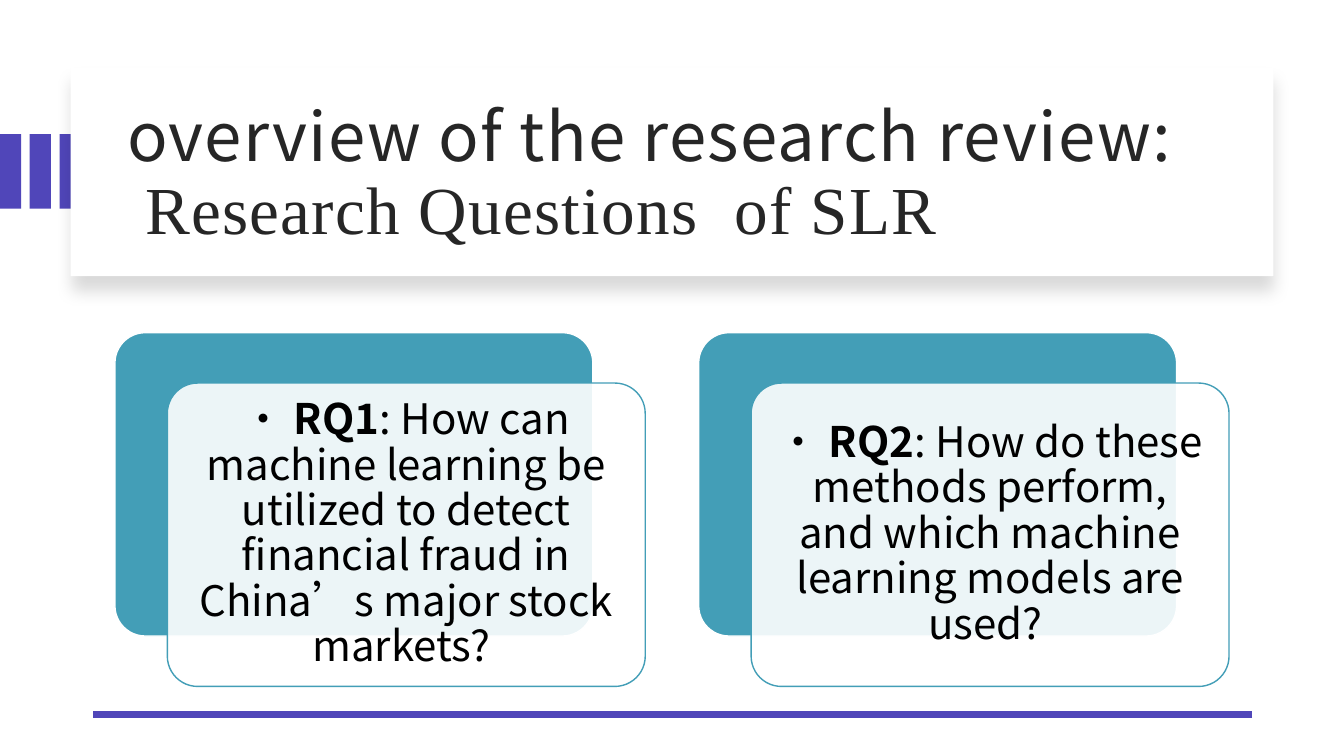
from lxml.etree import SubElement
from pptx import Presentation
from pptx.dml.color import RGBColor
from pptx.enum.shapes import MSO_CONNECTOR, MSO_SHAPE
from pptx.enum.text import MSO_ANCHOR, PP_ALIGN
from pptx.oxml.ns import qn
from pptx.util import Inches, Pt

THEME = {
    "white": RGBColor(0xFF, 0xFF, 0xFF),
    "black": RGBColor(0, 0, 0),
    "ink": RGBColor(0x26, 0x26, 0x26),
    "violet": RGBColor(0x50, 0x46, 0xB9),
    "teal": RGBColor(0x43, 0x9E, 0xB7),
    "sans": "Noto Sans CJK SC",
    "serif": "Times New Roman",
    "title_size": Pt(48),
    "card_size": Pt(30),
}
FRAME = {
    "word_wrap": True,
    "vertical_anchor": MSO_ANCHOR.MIDDLE,
    "margin_left": Inches(0.12),
    "margin_right": Inches(0.12),
    "margin_top": Inches(0.12),
    "margin_bottom": Inches(0.12),
}


def apply_format(target, values):
    for name, value in values.items():
        setattr(target, name, value)


def add_block(kind, left, top, width, height, fill, line=None):
    shape = slide.shapes.add_shape(
        kind, Inches(left), Inches(top), Inches(width), Inches(height))
    shape.shadow.inherit = False
    shape.fill.solid()
    shape.fill.fore_color.rgb = THEME[fill]
    if line:
        shape.line.color.rgb = THEME[line]
        shape.line.width = Pt(1)
    else:
        shape.line.fill.background()
    return shape


presentation = Presentation()
presentation.slide_width = Inches(13.33)
presentation.slide_height = Inches(7.5)
slide = presentation.slides.add_slide(presentation.slide_layouts[6])

# Violet bars at the left edge, the last one partly behind the title panel
for index in range(3):
    add_block(MSO_SHAPE.RECTANGLE, index * 0.295, 1.33, 0.21, 0.74, "violet")

# Title panel with a soft shadow below
panel = add_block(MSO_SHAPE.RECTANGLE, 0.7, 0.67, 11.93, 2.07, "white")
effects = panel.element.spPr.find(qn("a:effectLst"))
shadow = SubElement(effects, qn("a:outerShdw"), blurRad=str(Pt(11)),
                    dist=str(Pt(10)), dir="5400000", algn="t", rotWithShape="0")
shadow_color = SubElement(shadow, qn("a:srgbClr"), val=str(THEME["black"]))
SubElement(shadow_color, qn("a:alpha"), val="15000")

# Title
title = slide.shapes.add_textbox(Inches(1.14), Inches(0.89), Inches(11.13), Inches(1.7))
apply_format(title.text_frame, {**FRAME, "margin_bottom": Inches(0.1)})
paragraph = title.text_frame.paragraphs[0]
paragraph.line_spacing = 0.9
title_lines = [("overview of the research review:", "sans"),
               (" Research Questions  of SLR", "serif")]
for index, (text, font) in enumerate(title_lines):
    if index:
        paragraph.add_line_break()
    run = paragraph.add_run()
    run.text = text
    apply_format(run.font, {"name": THEME[font], "size": THEME["title_size"]})
    run.font.color.rgb = THEME["ink"]
    run.font._element.set("spc", "90")

# Rule at the bottom
rule = slide.shapes.add_connector(
    MSO_CONNECTOR.STRAIGHT, Inches(12.42), Inches(7.09), Inches(0.92), Inches(7.09))
rule.line.color.rgb = THEME["violet"]
rule.line.width = Pt(4.5)
SubElement(rule.element.spPr, qn("a:effectLst"))

# Question cards: a teal back and a translucent front, offset down and right
questions = [
    ("RQ1", ": How can machine learning be utilized to detect financial fraud "
            "in China’s major stock markets? "),
    ("RQ2", ": How do these methods perform, and which machine learning models "
            "are used? "),
]
for index, (label, question) in enumerate(questions):
    left = 1.14 + index * 5.79
    back = add_block(MSO_SHAPE.ROUNDED_RECTANGLE, left, 3.3, 4.74, 3.01, "teal", "white")
    front = add_block(MSO_SHAPE.ROUNDED_RECTANGLE, left + 0.52, 3.8, 4.74, 3.01,
                      "white", "teal")
    for card in (back, front):
        card.adjustments[0] = 0.1
    fill_color = front.element.spPr.find(qn("a:solidFill")).find(qn("a:srgbClr"))
    SubElement(fill_color, qn("a:alpha"), val="90000")

    apply_format(front.text_frame, FRAME)
    paragraph = front.text_frame.paragraphs[0]
    apply_format(paragraph, {"alignment": PP_ALIGN.CENTER, "line_spacing": 0.9})
    for text, bold in [("· ", False), (label, True), (question, False)]:
        run = paragraph.add_run()
        run.text = text
        apply_format(run.font, {"name": THEME["sans"], "size": THEME["card_size"],
                                "bold": bold})
        run.font.color.rgb = THEME["black"]
        SubElement(run.font._element, qn("a:ea"), typeface=THEME["sans"])

presentation.save("out.pptx")
